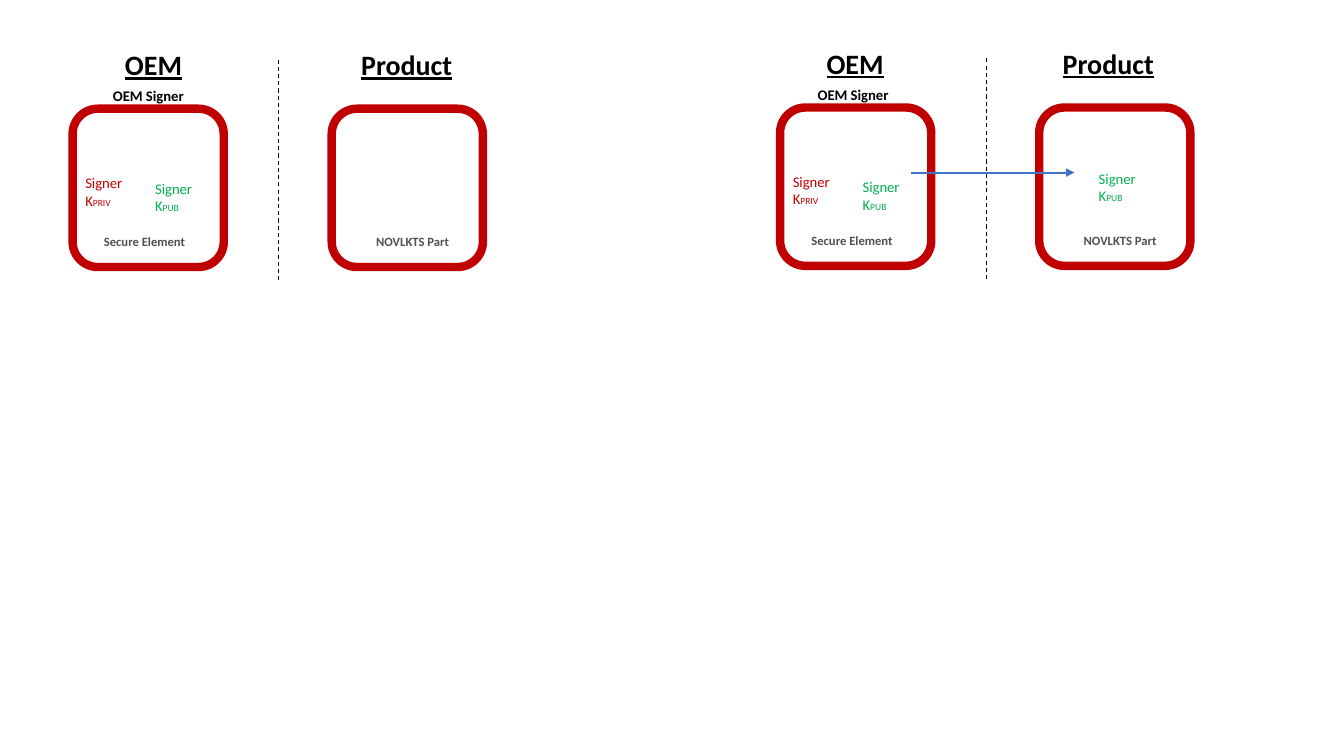
from dataclasses import dataclass

import pptx
import pptx.dml.color
import pptx.enum.dml
import pptx.enum.shapes
import pptx.enum.text
import pptx.oxml
import pptx.oxml.ns
import pptx.util
from pptx.util import Cm


@dataclass(frozen=True)
class Theme:
    """Colours, font and type sizes of the slide."""

    font: str = "Calibri"
    ink: str = "000000"
    chip: str = "C00000"
    caption: str = "505050"
    private: str = "C00000"
    public: str = "00B050"
    arrow: str = "4472C4"
    heading_size: float = 20
    label_size: float = 10.5
    caption_size: float = 9
    subscript_size: float = 6.8


THEME = Theme()
CHIP_STEP = 6.53
HEADING_STEP = 6.38


def color(value):
    """Return the RGB colour for a hex value."""
    return pptx.dml.color.RGBColor.from_string(value)


def add_text(slide, box, lines, hue, bold=False, underline=False, centered=False):
    """Add a text box whose lines are lists of (text, size) runs."""
    shape = slide.shapes.add_textbox(*[Cm(length) for length in box])
    frame = shape.text_frame
    frame.word_wrap = centered
    frame.auto_size = pptx.enum.text.MSO_AUTO_SIZE.SHAPE_TO_FIT_TEXT
    if not centered:
        frame.margin_left = frame.margin_right = 0
        frame.margin_top = frame.margin_bottom = 0
    for index, runs in enumerate(lines):
        paragraph = frame.add_paragraph() if index else frame.paragraphs[0]
        if centered:
            paragraph.alignment = pptx.enum.text.PP_ALIGN.CENTER
        for text, size in runs:
            run = paragraph.add_run()
            run.text = text
            run.font.name = THEME.font
            run.font.size = pptx.util.Pt(size)
            run.font.bold = bold
            run.font.underline = underline
            run.font.color.rgb = color(hue)


def add_heading(slide, left, top, text):
    """Add an underlined column heading."""
    add_text(slide, (left, top, 3.68, 1.12), [[(text, THEME.heading_size)]],
             THEME.ink, bold=True, underline=True, centered=True)


def add_key(slide, left, top, subscript, hue):
    """Add the label of one signer key."""
    lines = [[("Signer", THEME.label_size)],
             [("K", THEME.label_size), (subscript, THEME.subscript_size)]]
    add_text(slide, (left, top, 1.6, 0.89), lines, hue)


def add_chip(slide, left, top, caption, caption_offset):
    """Add a rounded chip outline with its caption."""
    shape = slide.shapes.add_shape(
        pptx.enum.shapes.MSO_SHAPE.ROUNDED_RECTANGLE,
        Cm(left), Cm(top), Cm(3.81), Cm(3.99))
    shape.shadow.inherit = False
    shape.fill.background()
    shape.line.color.rgb = color(THEME.chip)
    shape.line.width = pptx.util.Pt(6)
    add_text(slide, (left + caption_offset, top + 3.15, 2.08, 0.38),
             [[(caption, THEME.caption_size)]], THEME.caption, bold=True)


def add_line(slide, start, end, hue, width):
    """Add a straight line without shadow and return it."""
    connector = slide.shapes.add_connector(
        pptx.enum.shapes.MSO_CONNECTOR.STRAIGHT,
        *[Cm(length) for length in (*start, *end)])
    connector.line.color.rgb = color(hue)
    connector.line.width = pptx.util.Pt(width)
    properties = connector._element.spPr
    properties.append(pptx.oxml.parse_xml(
        f"<a:effectLst {pptx.oxml.ns.nsdecls('a')}/>"))
    return connector


def add_panel(slide, left, top, heading_offset, signer_offset):
    """Add the OEM and product chips with headings, keys and divider."""
    add_chip(slide, left, top + 1.67, "Secure Element", 0.79)
    add_chip(slide, left + CHIP_STEP, top + 1.67, "NOVLKTS Part", 1.12)
    add_key(slide, left + 2.08, top + 3.45, "PUB", THEME.public)
    add_key(slide, left + 0.32, top + 3.31, "PRIV", THEME.private)
    divider = add_line(slide, (left + 5.19, top + 0.43),
                       (left + 5.19, top + 6.05), THEME.ink, 0.75)
    divider.line.dash_style = pptx.enum.dml.MSO_LINE.DASH
    for column, heading in enumerate(("OEM", "Product")):
        add_heading(slide, left + heading_offset + column * HEADING_STEP,
                    top, heading)
    add_text(slide, (left + signer_offset, top + 0.99, 3.28, 0.71),
             [[("OEM Signer", THEME.label_size)]], THEME.ink,
             bold=True, centered=True)


def add_transfer(slide, left, top):
    """Add the public key held by the product and its arrow."""
    add_key(slide, left + 8.03, top + 3.23, "PUB", THEME.public)
    arrow = add_line(slide, (left + 3.3, top + 3.31),
                     (left + 7.42, top + 3.31), THEME.arrow, 1.5)
    arrow.line._get_or_add_ln().append(pptx.oxml.parse_xml(
        f"<a:tailEnd {pptx.oxml.ns.nsdecls('a')} type='triangle'/>"))


def main():
    """Build and save the presentation."""
    presentation = pptx.Presentation()
    presentation.slide_width = Cm(33.87)
    presentation.slide_height = Cm(19.05)
    slide = presentation.slides.add_slide(presentation.slide_layouts[6])
    add_panel(slide, 1.83, 1.07, heading_offset=0.2, signer_offset=0.27)
    add_panel(slide, 19.66, 1.04, heading_offset=0.05, signer_offset=0.2)
    add_transfer(slide, 19.66, 1.04)
    presentation.save("out.pptx")


if __name__ == "__main__":
    main()
